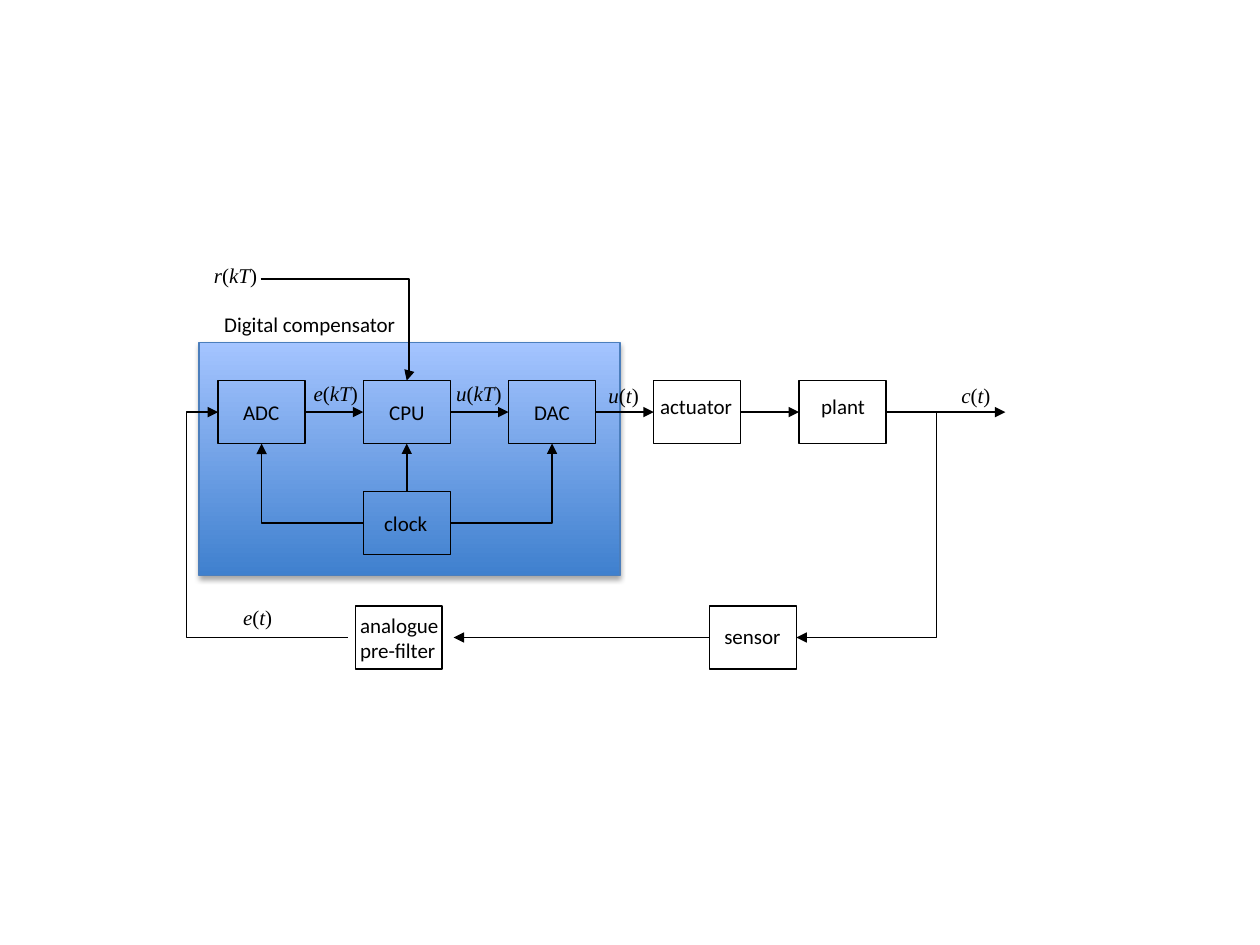
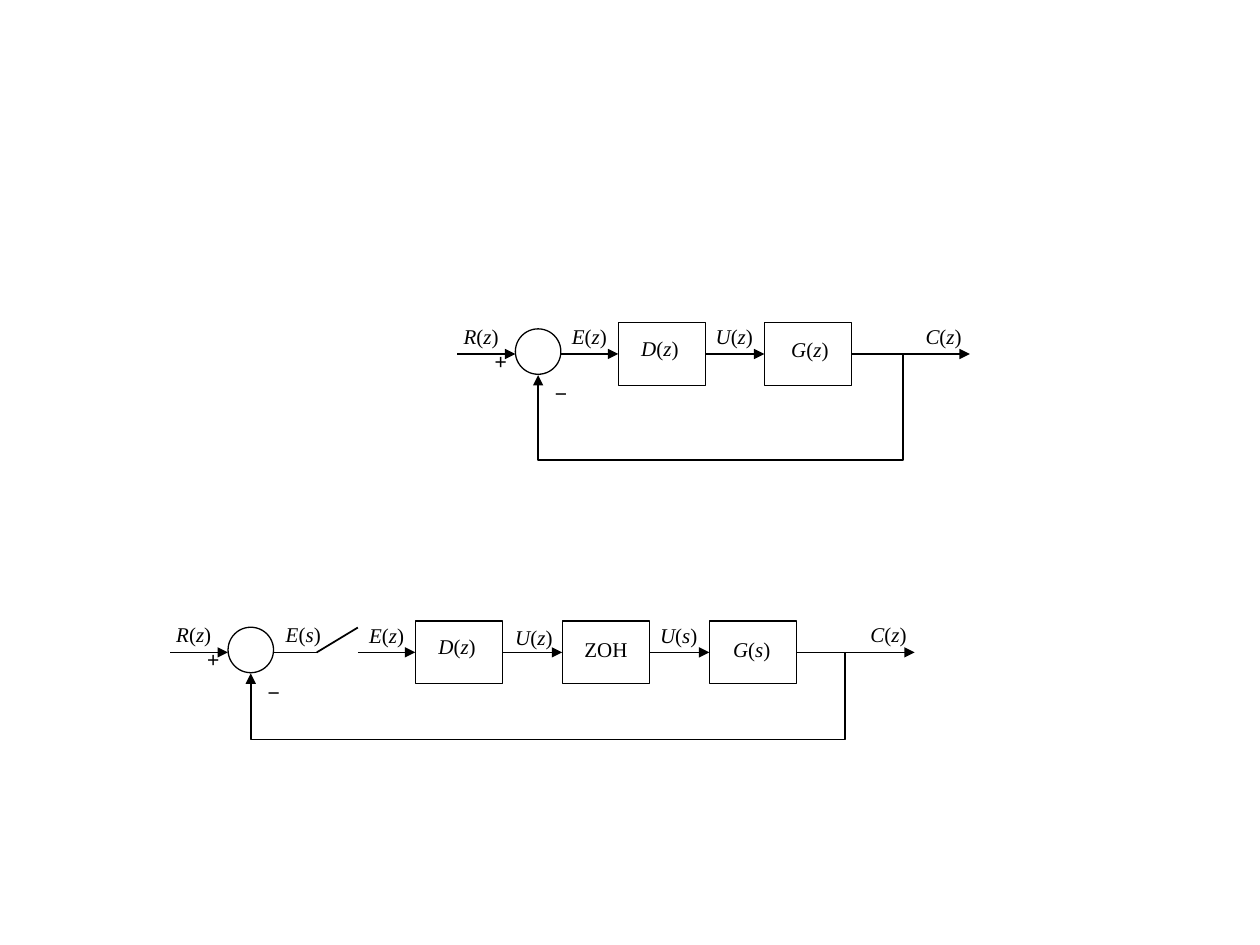
from dataclasses import dataclass
from itertools import groupby
from typing import NamedTuple, Optional

from lxml import etree
from pptx import Presentation
from pptx.dml.color import RGBColor
from pptx.enum.shapes import MSO_CONNECTOR, MSO_SHAPE
from pptx.enum.text import MSO_AUTO_SIZE
from pptx.oxml.ns import qn
from pptx.util import Pt

# Shared style
INK = "000000"
SANS, SERIF, SIGN = "Calibri", "Times New Roman", "Arial"
TEXT_SIZE = 12
BLOCK_W, BLOCK_H = 49.7, 36
LABEL_H = 21.8
CIRCLE = 26
TOP, LEFT, BOTTOM, RIGHT = range(4)


class End(NamedTuple):
    """An end of a connector, on a block's side if one is given."""
    x: float
    y: float
    block: Optional[object] = None
    side: int = 0


@dataclass
class Label:
    text: str
    left: float
    top: float
    width: float
    font: str = SERIF
    height: float = LABEL_H


@dataclass
class Elbow:
    start: End
    end: End
    preset: str
    rotation: int = 0
    flip_v: bool = False
    bends: tuple = ()  # in percent of the frame


def color(hex_value: str) -> RGBColor:
    return RGBColor.from_string(hex_value)


def side_of(block, side: int) -> End:
    x, y, w, h = (v.pt for v in (block.left, block.top, block.width, block.height))
    dx, dy = {TOP: (0.5, 0), LEFT: (0, 0.5), BOTTOM: (0.5, 1), RIGHT: (1, 0.5)}[side]
    return End(x + w * dx, y + h * dy, block, side)


def add_outline(slide, preset, left: float, top: float, width: float, height: float):
    shape = slide.shapes.add_shape(preset, Pt(left), Pt(top), Pt(width), Pt(height))
    shape.shadow.inherit = False
    shape.fill.background()
    shape.line.color.rgb = color(INK)
    shape.line.width = Pt(0.75)
    return shape


def add_block(slide, left: float, middle: float):
    return add_outline(slide, MSO_SHAPE.RECTANGLE, left, middle - BLOCK_H / 2, BLOCK_W, BLOCK_H)


def add_label(slide, label: Label) -> None:
    box = slide.shapes.add_textbox(Pt(label.left), Pt(label.top), Pt(label.width), Pt(label.height))
    frame = box.text_frame
    frame.word_wrap = False
    is_formula = label.font == SERIF and "(" in label.text
    if is_formula:
        # Letters are italic, brackets upright
        for is_letter, part in groupby(label.text, str.isalpha):
            run = frame.paragraphs[0].add_run()
            run.text = "".join(part)
            run.font.italic = is_letter
    else:
        frame.text = label.text
    for paragraph in frame.paragraphs:
        for run in paragraph.runs:
            run.font.name = label.font
            run.font.size = Pt(TEXT_SIZE)
            run.font.color.rgb = color(INK)
    frame.auto_size = MSO_AUTO_SIZE.SHAPE_TO_FIT_TEXT


def add_labels(slide, labels: list) -> None:
    for label in labels:
        add_label(slide, label)


def style_connector(connector, arrow: bool) -> None:
    connector.line.color.rgb = color(INK)
    connector.line.width = Pt(1)
    properties = connector.element.spPr
    if arrow:
        etree.SubElement(properties.find(qn("a:ln")), qn("a:tailEnd"), type="triangle")
    etree.SubElement(properties, qn("a:effectLst"))


def add_line(slide, start: End, end: End, arrow: bool = True) -> None:
    connector = slide.shapes.add_connector(
        MSO_CONNECTOR.STRAIGHT, Pt(start.x), Pt(start.y), Pt(end.x), Pt(end.y))
    if start.block is not None:
        connector.begin_connect(start.block, start.side)
    if end.block is not None:
        connector.end_connect(end.block, end.side)
    style_connector(connector, arrow)


def add_elbow(slide, elbow: Elbow) -> None:
    start, end = elbow.start, elbow.end
    width, height = abs(end.x - start.x), abs(end.y - start.y)
    if elbow.rotation == 90:
        width, height = height, width
    left = (start.x + end.x - width) / 2
    top = (start.y + end.y - height) / 2
    connector = slide.shapes.add_connector(
        MSO_CONNECTOR.ELBOW, Pt(left), Pt(top), Pt(left + width), Pt(top + height))
    properties = connector.element.spPr
    frame = properties.find(qn("a:xfrm"))
    frame.set("rot", str(elbow.rotation * 60000))
    frame.set("flipV", str(int(elbow.flip_v)))
    geometry = properties.find(qn("a:prstGeom"))
    geometry.set("prst", elbow.preset)
    for number, percent in enumerate(elbow.bends, 1):
        etree.SubElement(geometry.find(qn("a:avLst")), qn("a:gd"),
                         name=f"adj{number}", fmla=f"val {round(percent * 1000)}")
    style_connector(connector, arrow=True)


def add_compensator(slide) -> None:
    panel = add_outline(slide, MSO_SHAPE.RECTANGLE, 113.8, 195.8, 240.5, 133.2)
    panel.fill.gradient()
    panel.fill.gradient_angle = 90
    for stop, shade in zip(panel.fill.gradient_stops, ("3F80CE", "A4C4FF")):
        stop.color.rgb = color(shade)
    panel.line.color.rgb = color("4B7EBC")
    effects = panel.element.spPr.find(qn("a:effectLst"))
    shadow = etree.SubElement(effects, qn("a:outerShdw"), blurRad=str(Pt(3.1)),
                              dist=str(Pt(1.8)), dir="5400000", rotWithShape="0")
    shade = etree.SubElement(shadow, qn("a:srgbClr"), val=INK)
    etree.SubElement(shade, qn("a:alpha"), val="35000")


def build_digital_control(slide) -> None:
    main_y, feedback_y = 235.5, 364.3
    add_compensator(slide)

    # Blocks
    chain = [add_block(slide, 124.6 + 83 * i, main_y) for i in range(5)]
    adc, cpu, dac, actuator, plant = chain
    clock = add_block(slide, 207.6, 298.8)
    add_block(slide, 203, feedback_y)  # analogue pre-filter
    sensor = add_block(slide, 405.4, feedback_y)

    # Signal paths
    for source, target in zip(chain, chain[1:]):
        add_line(slide, side_of(source, RIGHT), side_of(target, LEFT))
    add_line(slide, side_of(plant, RIGHT), End(574.5, main_y))
    add_line(slide, side_of(clock, TOP), side_of(cpu, BOTTOM))
    add_line(slide, side_of(sensor, LEFT), End(259.2, feedback_y))
    for elbow in (
        Elbow(End(198.7, feedback_y), side_of(adc, LEFT), "bentConnector3", 180, bends=(124.3,)),
        Elbow(side_of(clock, RIGHT), side_of(dac, BOTTOM), "bentConnector2", flip_v=True),
        Elbow(side_of(clock, LEFT), side_of(adc, BOTTOM), "bentConnector2", 180),
        Elbow(End(535.2, main_y), side_of(sensor, RIGHT), "bentConnector2", 90),
        Elbow(End(149, 159.6), side_of(cpu, TOP), "bentConnector3", bends=(101.5,)),
    ):
        add_elbow(slide, elbow)

    # Block names and signals
    add_labels(slide, [
        Label("ADC", 131.8, 224.6, 35.3, SANS),
        Label("CPU", 215.3, 224.6, 35.3, SANS),
        Label("DAC", 298.1, 224.6, 35.3, SANS),
        Label("actuator", 370.1, 221.5, 56.2, SANS),
        Label("plant", 462.2, 221.3, 39.6, SANS),
        Label("clock", 212.4, 288, 39.6, SANS),
        Label("sensor", 406.8, 352.8, 46.8, SANS),
        Label("analogue\npre-filter", 198.7, 346.3, 61.2, SANS, 36),
        Label("Digital compensator", 121, 174.2, 113.8, SANS),
        Label("r(kT)", 115.2, 146.2, 40.3),
        Label("e(kT)", 172.1, 213.8, 41),
        Label("u(kT)", 253.6, 213.8, 41.8),
        Label("u(t)", 340.6, 215.3, 33.1),
        Label("c(t)", 542.2, 215.3, 32.4),
        Label("e(t)", 131.8, 342, 33.1),
    ])


def add_loop(slide, circle_left: float, y: float, plant, tap: float, drop: float) -> None:
    """Draw the input, summing junction, output and feedback around a chain."""
    add_outline(slide, MSO_SHAPE.OVAL, circle_left, y - 14.4, CIRCLE, CIRCLE)
    add_line(slide, End(circle_left - 33.1, y), End(circle_left, y))
    output = side_of(plant, RIGHT)
    add_line(slide, output, End(output.x + 67.7, y))
    rise = 12
    add_elbow(slide, Elbow(End(output.x + tap, y), End(circle_left + CIRCLE / 2, y + rise),
                           "bentConnector4", 180, True, (-0.3, 100 * drop / rise)))
    add_labels(slide, [
        Label("R(z)", circle_left - 36.7, y - 20.9, 35.3),
        Label("C(z)", output.x + 35.3, y - 20.9, 36),
        Label("+", circle_left - 19, y - 6.7, 20.9, SIGN),
        Label("−", circle_left + 15.5, y + 11.8, 20.9, SIGN),
    ])


def build_loops(slide) -> None:
    # Fully discrete loop
    y, circle_left = 202.3, 294.5
    controller, plant = (add_block(slide, 353.3 + 83.5 * i, y) for i in range(2))
    add_loop(slide, circle_left, y, plant, tap=29, drop=60.5)
    add_line(slide, End(circle_left + CIRCLE, y), side_of(controller, LEFT))
    add_line(slide, side_of(controller, RIGHT), side_of(plant, LEFT))
    add_labels(slide, [
        Label("E(z)", 319.7, y - 20.9, 35.3),
        Label("D(z)", 359.3, y - 14.4, 36.7),
        Label("U(z)", 401.8, y - 20.9, 37.4),
        Label("G(z)", 445, y - 13.7, 36.7),
    ])

    # Loop with sampler and zero-order hold
    y, circle_left = 372.8, 130.3
    chain = [add_block(slide, 237.3 + 84 * i, y) for i in range(3)]
    add_loop(slide, circle_left, y, chain[-1], tap=26.7, drop=49.8)
    for source, target in zip(chain, chain[1:]):
        add_line(slide, side_of(source, RIGHT), side_of(target, LEFT))
    add_line(slide, End(204.5, y), side_of(chain[0], LEFT))
    hinge = End(181, y)
    add_line(slide, End(circle_left + CIRCLE, y), hinge, arrow=False)
    add_line(slide, hinge, End(204.5, y - 14.2), arrow=False)
    add_labels(slide, [
        Label("E(s)", 156.2, y - 20.9, 35.3),
        Label("E(z)", 203.8, y - 20.7, 35.3),
        Label("D(z)", 243.4, y - 14.2, 36.7),
        Label("U(z)", 287.3, y - 19.3, 36.7),
        Label("ZOH", 326.9, y - 12.8, 40.3),
        Label("U(s)", 370.1, y - 20.7, 37.4),
        Label("G(s)", 411.8, y - 12.8, 36.7),
    ])


def main() -> None:
    deck = Presentation()
    deck.slide_width, deck.slide_height = Pt(720), Pt(540)
    for build in (build_digital_control, build_loops):
        build(deck.slides.add_slide(deck.slide_layouts[6]))
    deck.save("out.pptx")


if __name__ == "__main__":
    main()
